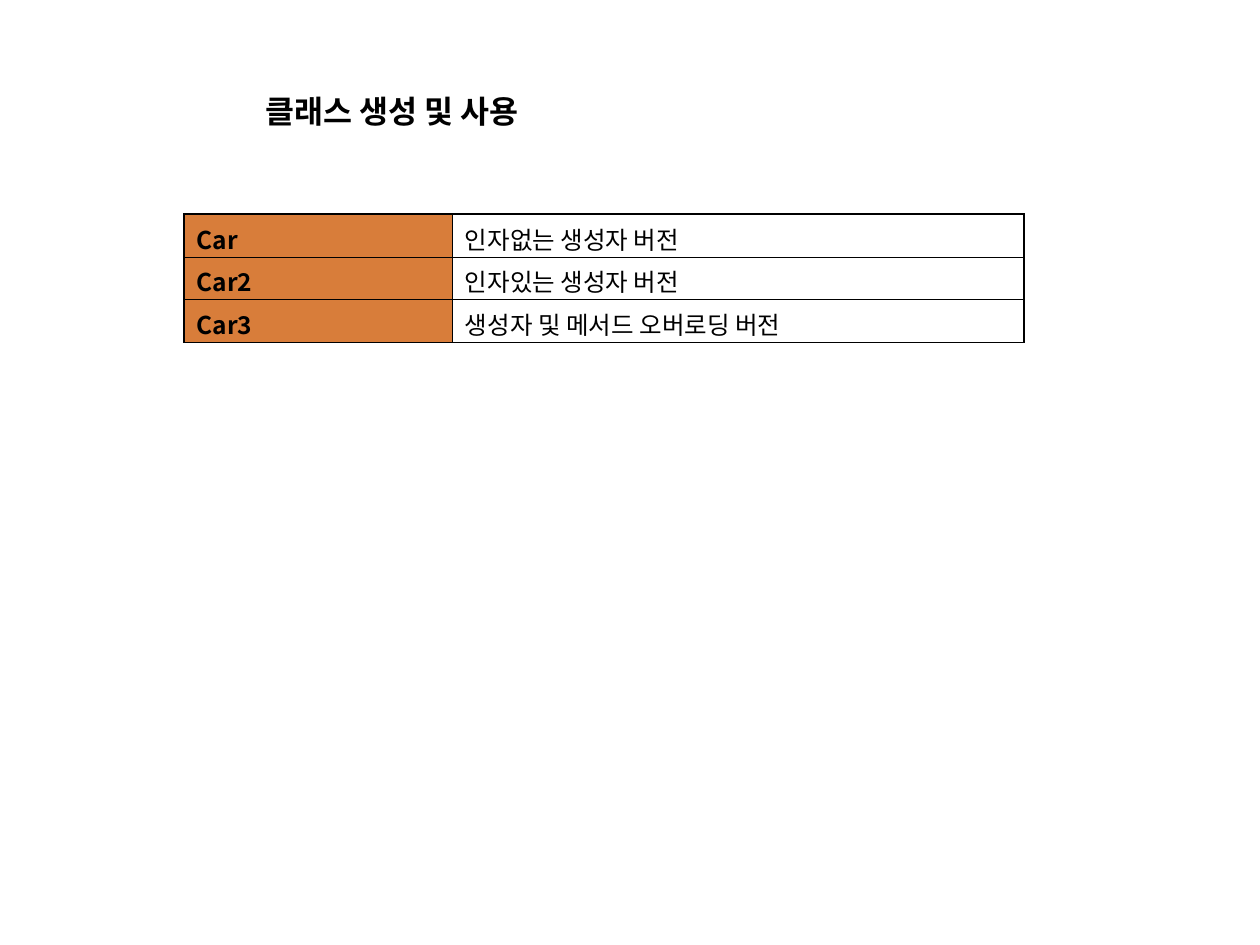
from lxml import etree
from pptx import Presentation
from pptx.dml.color import RGBColor
from pptx.enum.text import MSO_AUTO_SIZE
from pptx.oxml.ns import qn
from pptx.util import Inches, Pt

SHAPE_TO_FIT_TEXT = MSO_AUTO_SIZE.SHAPE_TO_FIT_TEXT

TITLE = "클래스 생성 및 사용"
CLASSES = [
    ("Car", "인자없는 생성자 버전"),
    ("Car2", "인자있는 생성자 버전"),
    ("Car3", "생성자 및 메서드 오버로딩 버전"),
]
COLORS = {"text": "000000", "border": "000000", "class": "D87D3A"}
FONT = "Noto Sans CJK KR"
COLUMN_WIDTHS = (2.13, 4.54)
ROW_HEIGHT = 0.34
OUTER_LINE, INNER_LINE = 1.08, 0.45


def write_text(frame, text, size, bold=False):
    run = frame.paragraphs[0].add_run()
    run.text = text
    run.font.size = Pt(size)
    run.font.bold = bold
    run.font.name = FONT
    run.font.color.rgb = RGBColor.from_string(COLORS["text"])
    east_asian = etree.SubElement(run.font._element, qn("a:ea"))
    east_asian.set("typeface", FONT)


def set_borders(cell, widths):
    """Draw the borders, given as left, right, top and bottom widths."""
    properties = cell._tc.get_or_add_tcPr()
    for position, (side, width) in enumerate(zip("LRTB", widths)):
        line = etree.Element(qn(f"a:ln{side}"), w=str(int(Pt(width))))
        fill = etree.SubElement(line, qn("a:solidFill"))
        etree.SubElement(fill, qn("a:srgbClr"), val=COLORS["border"])
        properties.insert(position, line)


def add_title(slide):
    box = slide.shapes.add_textbox(Inches(2.01), Inches(0.68), Inches(3.86), Inches(0.4))
    box.text_frame.word_wrap = True
    box.text_frame.auto_size = SHAPE_TO_FIT_TEXT
    write_text(box.text_frame, TITLE, size=18, bold=True)


def add_class_table(slide):
    last_row, last_column = len(CLASSES) - 1, len(COLUMN_WIDTHS) - 1
    table = slide.shapes.add_table(
        len(CLASSES), len(COLUMN_WIDTHS), Inches(1.46), Inches(1.7),
        Inches(sum(COLUMN_WIDTHS)), Inches(ROW_HEIGHT * len(CLASSES)),
    ).table
    table.first_row = table.horz_banding = False
    for column, width in zip(table.columns, COLUMN_WIDTHS):
        column.width = Inches(width)

    for row, texts in enumerate(CLASSES):
        table.rows[row].height = Inches(ROW_HEIGHT)
        for column, text in enumerate(texts):
            cell = table.cell(row, column)
            is_name = column == 0
            cell.margin_left = cell.margin_right = Inches(0.1)
            cell.margin_top, cell.margin_bottom = Inches(0.05), 0
            if is_name:
                cell.fill.solid()
                cell.fill.fore_color.rgb = RGBColor.from_string(COLORS["class"])
            else:
                cell.fill.background()
            write_text(cell.text_frame, text, size=14, bold=is_name)
            on_edge = (is_name, column == last_column, row == 0, row == last_row)
            set_borders(cell, [OUTER_LINE if edge else INNER_LINE for edge in on_edge])


def main():
    presentation = Presentation()
    presentation.slide_width, presentation.slide_height = Inches(10), Inches(7.5)
    slide = presentation.slides.add_slide(presentation.slide_layouts[6])
    add_title(slide)
    add_class_table(slide)
    presentation.save("out.pptx")


if __name__ == "__main__":
    main()
